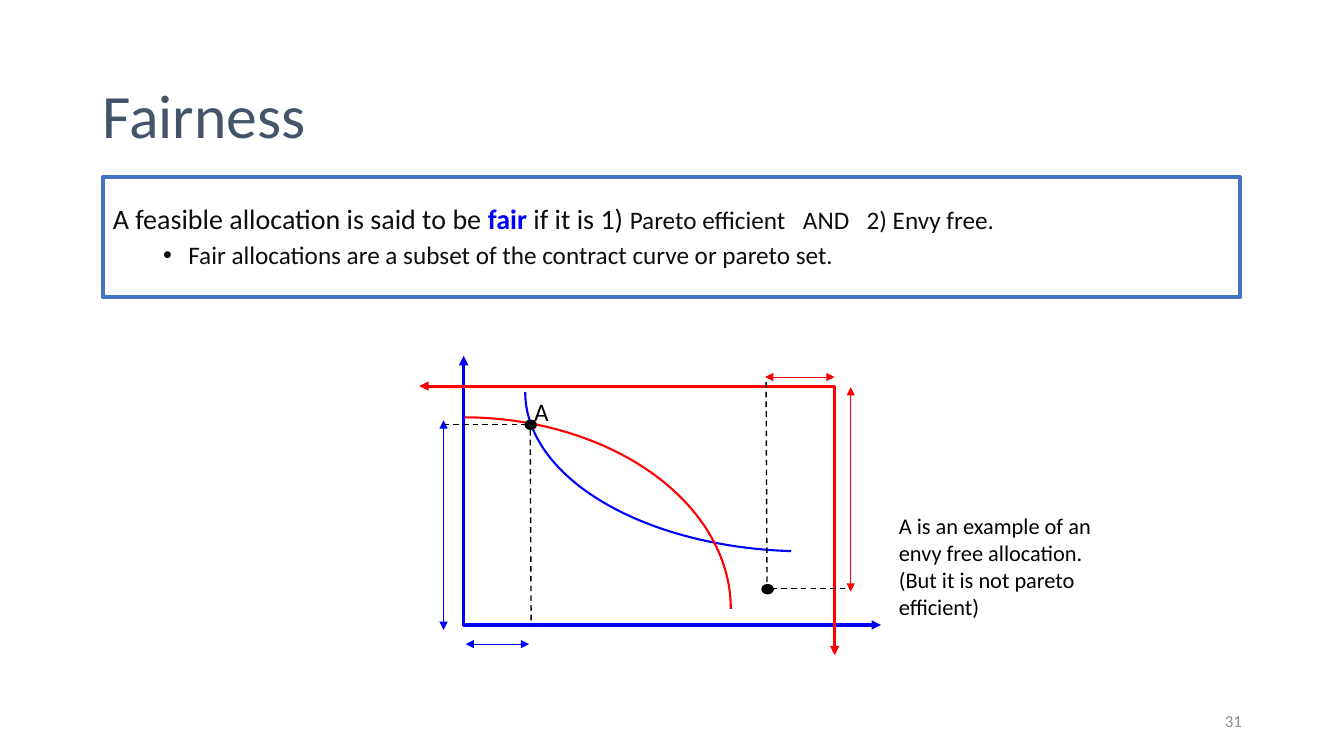
from dataclasses import dataclass

from lxml import etree
from pptx import Presentation
from pptx.dml.color import RGBColor
from pptx.enum.dml import MSO_LINE
from pptx.enum.shapes import MSO_CONNECTOR, MSO_SHAPE
from pptx.enum.text import MSO_ANCHOR, PP_ALIGN
from pptx.oxml.ns import qn
from pptx.util import Pt

STRAIGHT = MSO_CONNECTOR.STRAIGHT
ARC, OVAL, RECT = MSO_SHAPE.ARC, MSO_SHAPE.OVAL, MSO_SHAPE.RECTANGLE
DASH = MSO_LINE.DASH
TOP, MIDDLE = MSO_ANCHOR.TOP, MSO_ANCHOR.MIDDLE
LEFT, RIGHT = PP_ALIGN.LEFT, PP_ALIGN.RIGHT
FONT = "Calibri"
COLORS = {
    "title": "44546A", "number": "8C8C8C", "frame": "4472C4",
    "body": "0D0D0D", "black": "000000", "blue": "0000FF", "red": "FF0000",
}


@dataclass
class Curve:
    box: tuple[float, float, float, float]
    color: str
    start: float
    turn: int = 0


@dataclass
class Line:
    start: tuple[float, float]
    end: tuple[float, float]
    color: str
    width: float
    ends: tuple[str, ...] = ()
    dashed: bool = False


@dataclass
class Label:
    box: tuple[float, float, float, float]
    lines: tuple[str, ...]
    size: float
    color: str
    anchor: int = TOP
    align: int = LEFT
    wrap: bool = True


def paint(name: str) -> RGBColor:
    return RGBColor.from_string(COLORS[name])


def add_run(para, text: str, size: float, color: str, bold: bool = False) -> None:
    run = para.add_run()
    run.text = text
    run.font.name, run.font.size, run.font.bold = FONT, Pt(size), bold
    run.font.color.rgb = paint(color)


def add_label(slide, label: Label) -> None:
    frame = slide.shapes.add_textbox(*map(Pt, label.box)).text_frame
    frame.word_wrap, frame.vertical_anchor = label.wrap, label.anchor
    para = frame.paragraphs[0]
    para.alignment = label.align
    for i, text in enumerate(label.lines):
        if i:
            para.add_line_break()
        add_run(para, text, label.size, label.color)


def add_form(slide, kind: int, box: tuple, color: str, width: float):
    form = slide.shapes.add_shape(kind, *map(Pt, box))
    form.shadow.inherit = False
    form.fill.background()
    form.line.color.rgb, form.line.width = paint(color), Pt(width)
    return form


def add_curve(slide, curve: Curve) -> None:
    form = add_form(slide, ARC, curve.box, curve.color, 1.5)
    form.adjustments[0], form.adjustments[1] = curve.start, 0
    form.rotation = curve.turn


def add_line(slide, line: Line) -> None:
    link = slide.shapes.add_connector(STRAIGHT, *map(Pt, line.start + line.end))
    link.line.color.rgb, link.line.width = paint(line.color), Pt(line.width)
    if line.dashed:
        link.line.dash_style = DASH
    for end in line.ends:
        etree.SubElement(link.line._get_or_add_ln(), qn(f"a:{end}"), type="triangle")
    etree.SubElement(link._element.spPr, qn("a:effectLst"))


def add_panel(slide) -> None:
    panel = add_form(slide, RECT, (73.5, 126.7, 812, 85.7), "frame", 3)
    frame = panel.text_frame
    frame.word_wrap, frame.vertical_anchor = True, TOP
    frame.margin_top = Pt(20.2)

    # Main statement, with tab stops around AND
    head = frame.paragraphs[0]
    tabs = etree.SubElement(head._p.get_or_add_pPr(), qn("a:tabLst"))
    for stop in (493, 538.5):
        etree.SubElement(tabs, qn("a:tab"), pos=str(Pt(stop)), algn="l")
    add_run(head, "A feasible allocation is said to be ", 20, "body")
    add_run(head, "fair ", 20, "blue", True)
    add_run(head, "if it is 1) ", 20, "body")
    add_run(head, "Pareto efficient\tAND\t2) Envy free.", 18, "body")

    # Bullet below it
    point = frame.add_paragraph()
    props = point._p.get_or_add_pPr()
    props.set("marL", str(Pt(54)))
    props.set("indent", str(Pt(-18)))
    etree.SubElement(props, qn("a:buFont"), typeface="Arial")
    etree.SubElement(props, qn("a:buChar"), char="•")
    point.level = 1
    point.space_before = Pt(5)
    add_run(point, "Fair allocations are a subset of the contract curve or pareto set.",
            18, "body")
    for para in (head, point):
        para.alignment, para.line_spacing = LEFT, 0.9


ONE, BOTH = ("tailEnd",), ("headEnd", "tailEnd")
BASE, SIDE = 446.4, 331.2      # blue axes
ROOF, WALL = 275.8, 596.2      # red axes

CURVES = [
    Curve((375.1, 166.3, 401, 227.5), "blue", 165.18, 180),
    Curve((139.7, 298.1, 382.3, 273.6), "red", 162),
]
AXES = [
    Line((SIDE, 447.1), (SIDE, 254.2), "blue", 2.25, ONE),
    Line((330.5, BASE), (629.3, BASE), "blue", 2.25, ONE),
    Line((WALL, ROOF), (299.5, ROOF), "red", 2.25, ONE),
    Line((WALL, ROOF), (WALL, 468), "red", 2.25, ONE),
]
DOTS = [(375.1, 300.2), (544.3, 417.6)]
SPANS = [
    Line((332.6, 460.1), (378, 460.1), "blue", 0.5, BOTH),
    Line((316.8, 300.2), (316.8, 450), "blue", 0.5, BOTH),
    Line((546.5, 269.3), (WALL, 269.3), "red", 0.5, BOTH),
    Line((607.7, 276.5), (607.7, 422.6), "red", 0.5, BOTH),
]
GUIDES = [
    Line((378.7, 300.2), (379.4, BASE), "black", 1, dashed=True),
    Line((316.8, 303.1), (385.9, 303.1), "black", 1, dashed=True),
    Line((547.2, 272.9), (547.9, 418.3), "black", 1, dashed=True),
    Line((544.3, 420.5), (607, 420.5), "black", 1, dashed=True),
]
LABELS = [
    Label((66.2, 28.8, 828, 104.4), ("Fairness",), 44, "title", MIDDLE),
    Label((678.2, 500.4, 216, 28.8), ("31",), 12, "number", MIDDLE, RIGHT),
    Label((374.4, 279.4, 25.2, 28.8), ("A",), 18, "black", wrap=False),
    Label((635, 362.2, 163.4, 85),
          ("A is an example of an envy free allocation.",
           "(But it is not pareto efficient)"), 16, "black"),
]


def main() -> None:
    deck = Presentation()
    deck.slide_width, deck.slide_height = Pt(960), Pt(540)
    slide = deck.slides.add_slide(deck.slide_layouts[6])

    # Diagram
    for curve in CURVES:
        add_curve(slide, curve)
    for axis in AXES:
        add_line(slide, axis)
    for left, top in DOTS:
        dot = add_form(slide, OVAL, (left, top, 8, 6.5), "black", 1)
        dot.fill.solid()
        dot.fill.fore_color.rgb = paint("black")
    for line in SPANS + GUIDES:
        add_line(slide, line)

    # Text
    for label in LABELS:
        add_label(slide, label)
    add_panel(slide)
    deck.save("out.pptx")


if __name__ == "__main__":
    main()
